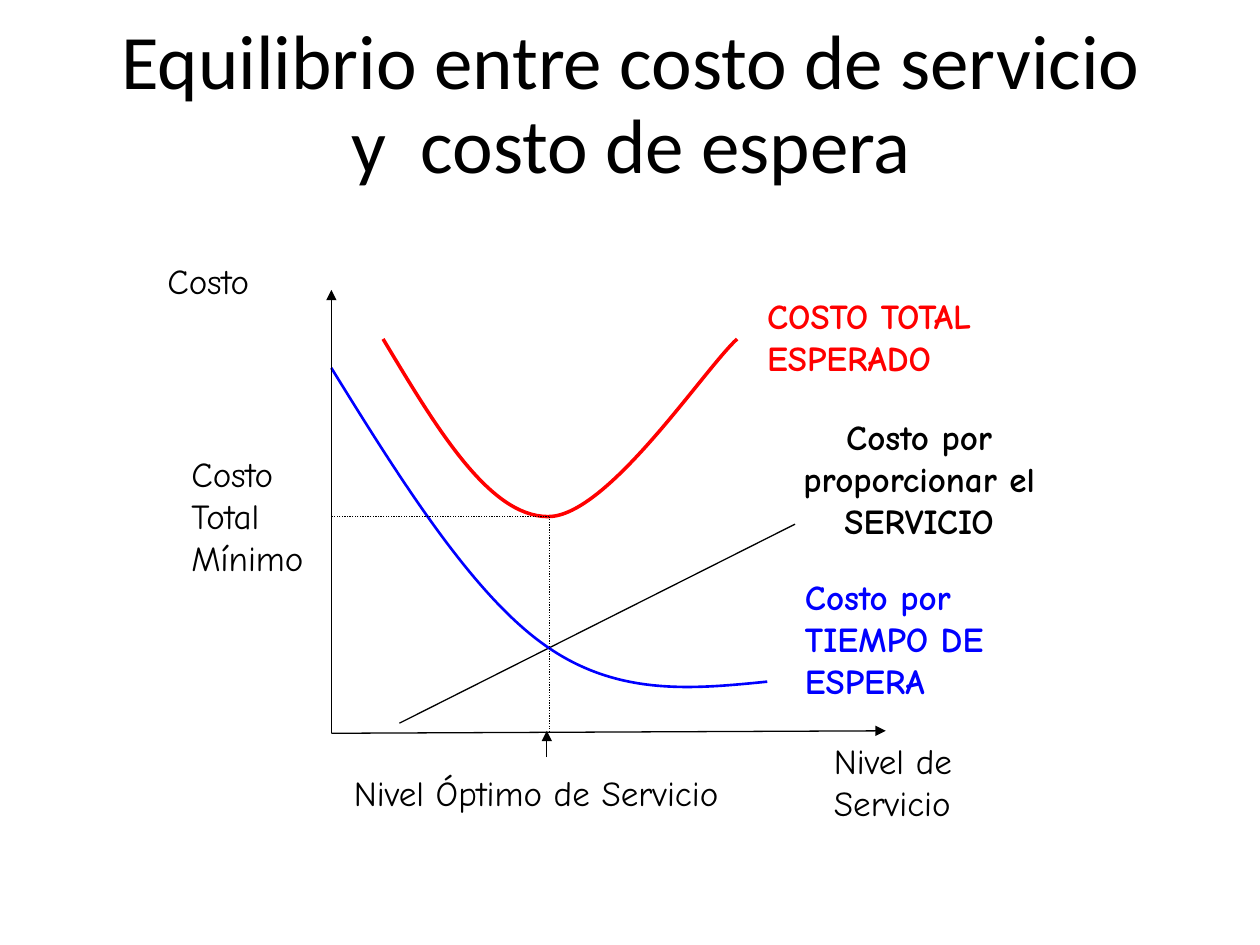
from lxml import etree
from pptx import Presentation
from pptx.dml.color import RGBColor
from pptx.enum.dml import MSO_LINE
from pptx.enum.shapes import MSO_CONNECTOR
from pptx.enum.text import MSO_ANCHOR, PP_ALIGN
from pptx.oxml.ns import qn
from pptx.util import Inches, Pt

STRAIGHT = MSO_CONNECTOR.STRAIGHT
DOTTED = MSO_LINE.ROUND_DOT
MIDDLE = MSO_ANCHOR.MIDDLE
LEFT, CENTER = PP_ALIGN.LEFT, PP_ALIGN.CENTER

COLORS = {"ink": "000000", "total": "FF0000", "waiting": "0000FF"}
TITLE_FONT, LABEL_FONT = "Calibri", "Comic Neue"

# Grid of the slide: square cells
COLUMNS, ROWS = 100, 75
CELL = Inches(0.1)
LINE_ROWS, MARGIN_ROWS = 3.35, 1

# Key positions of the diagram, in columns and rows
AXIS_X, AXIS_Y = 26.3, 58.2
OPTIMUM_X, MINIMUM_Y = 43.6, 41


def grid(*cells):
    return [round(cell * CELL) for cell in cells]


def color(name):
    return RGBColor.from_string(COLORS[name])


def add_text(slide, text, box, font_name, size, color_name="ink", bold=False,
             align=LEFT, wrap=True):
    frame = slide.shapes.add_textbox(*grid(*box)).text_frame
    frame.word_wrap = wrap
    paragraph = frame.paragraphs[0]
    paragraph.text = text
    paragraph.alignment = align
    font = paragraph.font
    font.name, font.size, font.bold = font_name, Pt(size), bold
    font.color.rgb = color(color_name)
    return frame


def add_title(slide, text):
    frame = add_text(slide, text, (7, 1.2, 86.2, 14.5), TITLE_FONT, 44, align=CENTER)
    frame.vertical_anchor = MIDDLE
    frame.paragraphs[0].line_spacing = 0.9


def add_label(slide, text, left, top, width, lines, **style):
    """Add a label whose height follows from its number of lines."""
    box = (left, top, width, MARGIN_ROWS + lines * LINE_ROWS)
    add_text(slide, text, box, LABEL_FONT, 20, **style)


def add_line(slide, start, end, dotted=False, arrow=False):
    connector = slide.shapes.add_connector(STRAIGHT, *grid(*start, *end))
    line = connector.line
    line.color.rgb = color("ink")
    line.width = Pt(0.75)
    if dotted:
        line.dash_style = DOTTED
    if arrow:
        etree.SubElement(line._get_or_add_ln(), qn("a:tailEnd"), type="triangle")
    etree.SubElement(connector._element.spPr, qn("a:effectLst"))


def add_curve(slide, start, controls, color_name, width):
    """Draw a Bézier curve; every three points in controls make one segment."""
    builder = slide.shapes.build_freeform(*grid(*start))
    builder.add_line_segments([grid(*point) for point in controls], close=False)
    shape = builder.convert_to_shape()
    steps = list(shape._element.iter(qn("a:lnTo")))
    for first, *others in zip(steps[::3], steps[1::3], steps[2::3]):
        first.tag = qn("a:cubicBezTo")
        for step in others:
            first.append(step[0])
            step.getparent().remove(step)
    shape.shadow.inherit = False
    shape.fill.background()
    shape.line.color.rgb = color(color_name)
    shape.line.width = Pt(width)


def add_diagram(slide):
    origin = (AXIS_X, AXIS_Y)
    optimum = (OPTIMUM_X, MINIMUM_Y)
    add_line(slide, (31.7, 57.4), (63.1, 41.6))
    add_curve(slide, (30.4, 26.9),
              [(34.6, 33.9), (38.8, 41), (43.5, 41),
               (48.2, 41), (55.8, 29.4), (58.5, 26.9)], "total", 2)
    add_curve(slide, (AXIS_X, 29.2),
              [(31.8, 38.1), (37.4, 47), (43.1, 51.1),
               (48.9, 55.3), (54.9, 54.7), (60.9, 54.1)], "waiting", 1.5)
    add_line(slide, optimum, (OPTIMUM_X, 58), dotted=True)
    add_line(slide, optimum, (AXIS_X, MINIMUM_Y), dotted=True)
    add_line(slide, origin, (AXIS_X, 23), arrow=True)
    add_line(slide, origin, (70.3, 58), arrow=True)
    add_line(slide, (43.4, 60.1), (43.4, 58), arrow=True)


def add_labels(slide):
    add_label(slide, "Costo", 12.3, 20.1, 14, 1)
    add_label(slide, "Costo Total Mínimo", 14.2, 35.4, 12.1, 3)
    add_label(slide, "Nivel Óptimo de Servicio", 27.1, 60.7, 34.6, 1, wrap=False)
    add_label(slide, "Nivel de Servicio", 65.2, 58.2, 18.7, 2)
    add_label(slide, "COSTO TOTAL ESPERADO", 59.9, 22.9, 23.7, 2,
              color_name="total", bold=True)
    add_label(slide, "Costo por proporcionar el SERVICIO", 60.9, 32.5, 24.1, 3,
              bold=True, align=CENTER)
    add_label(slide, "Costo por TIEMPO DE ESPERA", 62.9, 45.2, 20.8, 3,
              color_name="waiting", bold=True)


def main():
    presentation = Presentation()
    presentation.slide_width, presentation.slide_height = grid(COLUMNS, ROWS)
    slide = presentation.slides.add_slide(presentation.slide_layouts[6])
    add_title(slide, "Equilibrio entre costo de servicio y  costo de espera")
    add_diagram(slide)
    add_labels(slide)
    presentation.save("out.pptx")


if __name__ == "__main__":
    main()
